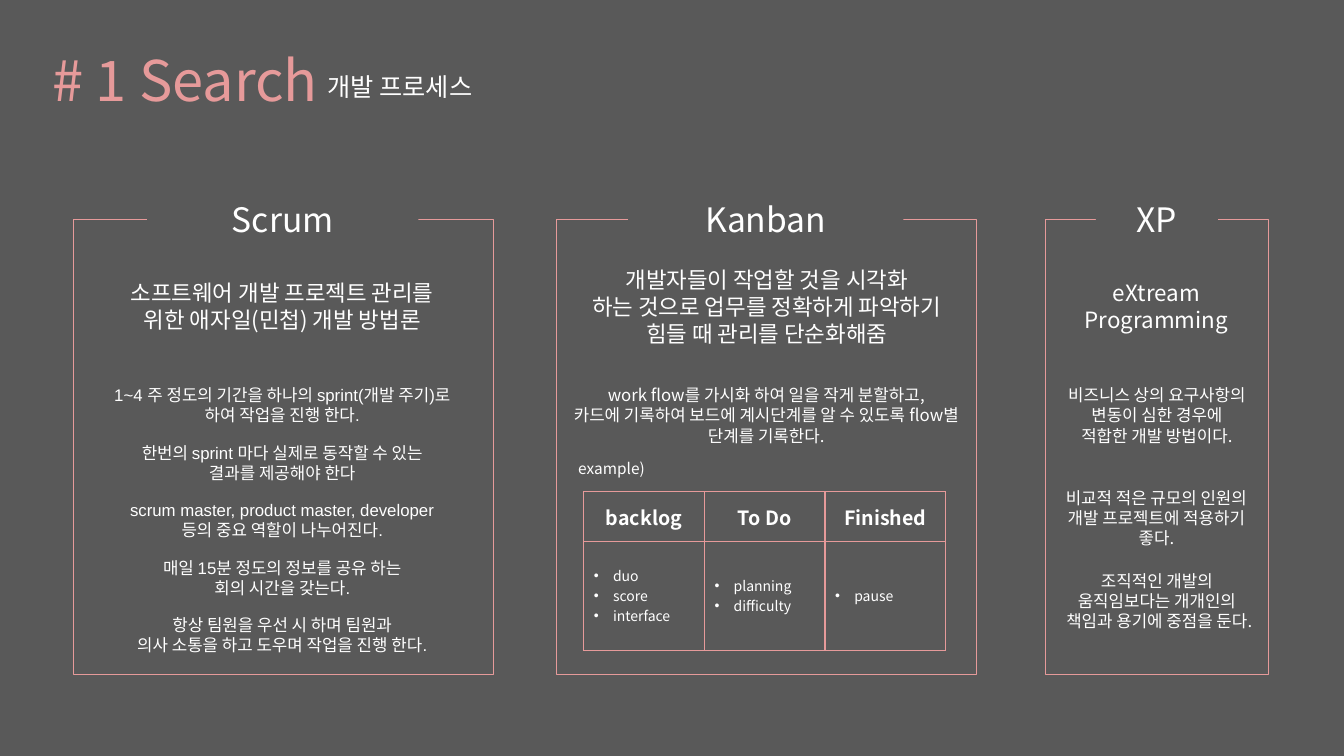
from dataclasses import dataclass
from lxml.etree import SubElement
from pptx import Presentation
from pptx.dml.color import RGBColor
from pptx.enum.shapes import MSO_SHAPE as Preset
from pptx.enum.text import MSO_ANCHOR as Anchor, PP_ALIGN as Align
from pptx.oxml.ns import qn
from pptx.util import Inches, Pt


@dataclass(frozen=True)
class Theme:
    back: str = "595959"
    accent: str = "E69A9A"
    text: str = "FFFFFF"
    sans: str = "Noto Sans CJK KR"
    latin: str = "Arial"
    title: int = 40
    subtitle: int = 18
    heading: int = 24
    lead: int = 16
    header: int = 14
    body: int = 12
    example: int = 11
    item: int = 10


THEME = Theme()
PANEL_TOP, PANEL_HEIGHT = 2.18, 4.51
HEADING_TOP, HEADING_HEIGHT = 1.92, 0.5
NOTE_TOP, NOTE_STEP = 3.77, 0.57

TITLES = [
    ("# 1 Search", (0.42, 0.4, 3.2, 0.77), THEME.title, THEME.accent),
    ("개발 프로세스", (3.15, 0.66, 1.84, 0.4), THEME.subtitle, THEME.text),
]

PANELS = [
    ("Scrum", 0.73, 4.16, 1.46, 2.69),
    ("Kanban", 5.52, 4.16, 6.23, 2.73),
    ("XP", 10.37, 2.21, 10.87, 1.21),
]

LEADS = [
    ("소프트웨어 개발 프로젝트 관리를\n위한 애자일(민첩) 개발 방법론", (0.98, 2.72, 3.64, 0.64)),
    ("개발자들이 작업할 것을 시각화\n하는 것으로 업무를 정확하게 파악하기\n힘들 때 관리를 단순화해줌",
     (5.74, 2.59, 3.73, 1.18)),
    ("eXtream Programming", (10.59, 2.72, 1.76, 0.64)),
]

SCRUM_NOTES = [
    "1~4 주 정도의 기간을 하나의 sprint(개발 주기)로\n하여 작업을 진행 한다.",
    "한번의 sprint 마다 실제로 동작할 수 있는\n결과를 제공해야 한다",
    "scrum master, product master, developer\n등의 중요 역할이 나누어진다.",
    "매일 15분 정도의 정보를 공유 하는\n회의 시간을 갖는다.",
    "항상 팀원을 우선 시 하며 팀원과\n의사 소통을 하고 도우며 작업을 진행 한다.",
]

OTHER_NOTES = [
    ("work flow를 가시화 하여 일을 작게 분할하고,\n"
     "카드에 기록하여 보드에 계시단계를 알 수 있도록 flow별 단계를 기록한다.",
     (5.59, NOTE_TOP, 4.02, 0.71)),
    ("비즈니스 상의 요구사항의\n변동이 심한 경우에\n적합한 개발 방법이다.", (10.37, NOTE_TOP, 2.21, 0.71)),
    ("비교적 적은 규모의 인원의\n개발 프로젝트에 적용하기 좋다.", (10.45, 4.79, 2.04, 0.71)),
    ("조직적인 개발의\n움직임보다는 개개인의\n책임과 용기에 중점을 둔다.", (10.46, 5.61, 2.03, 0.91)),
]

EXAMPLE = ("example)", (5.37, 4.51, 1.39, 0.29))
BOARD = {
    "backlog": "duo\nscore\ninterface",
    "To Do": "planning\ndifficulty",
    "Finished": "pause",
}
BOARD_PLACE = (5.79, 4.88, 3.59, 1.57)
BOARD_ROWS = (0.49, 1.08)


def color(code):
    return RGBColor.from_string(code)


def write(frame, text, size, tint=THEME.text, face=THEME.sans, align=Align.CENTER,
          bold=False, bullet=False):
    frame.word_wrap = True
    for index, line in enumerate(text.split("\n")):
        para = frame.add_paragraph() if index else frame.paragraphs[0]
        para.alignment = align
        if bullet:
            props = para._p.get_or_add_pPr()
            props.set("marL", str(Inches(0.19)))
            props.set("indent", str(-Inches(0.19)))
            SubElement(props, qn("a:buFont")).set("typeface", THEME.latin)
            SubElement(props, qn("a:buChar")).set("char", "•")
        span = para.add_run()
        span.text = line
        span.font.size = Pt(size)
        span.font.bold = bold
        span.font.color.rgb = color(tint)
        span.font.name = face
        SubElement(span._r.get_or_add_rPr(), qn("a:ea")).set("typeface", THEME.sans)


def add_text(page, text, place, size, **style):
    box = page.shapes.add_textbox(*map(Inches, place))
    write(box.text_frame, text, size, **style)
    return box


def add_panel(page, left, width):
    panel = page.shapes.add_shape(
        Preset.RECTANGLE, *map(Inches, (left, PANEL_TOP, width, PANEL_HEIGHT)))
    panel.shadow.inherit = False
    panel.fill.background()
    panel.line.color.rgb = color(THEME.accent)
    panel.line.width = Pt(0.5)


def add_heading(page, text, left, width):
    place = (left, HEADING_TOP, width, HEADING_HEIGHT)
    box = add_text(page, text, place, THEME.heading)
    box.fill.solid()
    box.fill.fore_color.rgb = color(THEME.back)


def style_cell(cell):
    props = cell._tc.get_or_add_tcPr()
    for side in ("lnL", "lnR", "lnT", "lnB"):
        border = SubElement(props, qn("a:" + side), w=str(Pt(1)))
        fill = SubElement(border, qn("a:solidFill"))
        SubElement(fill, qn("a:srgbClr"), val=THEME.accent)
    cell.fill.background()
    cell.vertical_anchor = Anchor.MIDDLE


def add_board(page):
    table = page.shapes.add_table(2, len(BOARD), *map(Inches, BOARD_PLACE)).table
    table.first_row = False
    table.horz_banding = False
    for row, height in zip(table.rows, BOARD_ROWS):
        row.height = Inches(height)
    for index, (stage, tasks) in enumerate(BOARD.items()):
        table.columns[index].width = Inches(BOARD_PLACE[2] / len(BOARD))
        header, body = table.cell(0, index), table.cell(1, index)
        style_cell(header)
        style_cell(body)
        write(header.text_frame, stage, THEME.header, bold=True)
        write(body.text_frame, tasks, THEME.item, align=Align.LEFT, bullet=True)


def main():
    deck = Presentation()
    deck.slide_width, deck.slide_height = Inches(13.33), Inches(7.5)
    page = deck.slides.add_slide(deck.slide_layouts[6])
    page.background.fill.solid()
    page.background.fill.fore_color.rgb = color(THEME.back)

    for text, place, size, tint in TITLES:
        add_text(page, text, place, size, tint=tint, align=Align.LEFT)
    for name, left, width, heading_left, heading_width in PANELS:
        add_panel(page, left, width)
        add_heading(page, name, heading_left, heading_width)
    for text, place in LEADS:
        add_text(page, text, place, THEME.lead)
    for index, text in enumerate(SCRUM_NOTES):
        place = (0.72, NOTE_TOP + index * NOTE_STEP, 4.16, 0.5)
        add_text(page, text, place, THEME.body, face=THEME.latin)
    for text, place in OTHER_NOTES:
        add_text(page, text, place, THEME.body)
    add_text(page, *EXAMPLE, THEME.example)
    add_board(page)
    deck.save("out.pptx")


if __name__ == "__main__":
    main()
